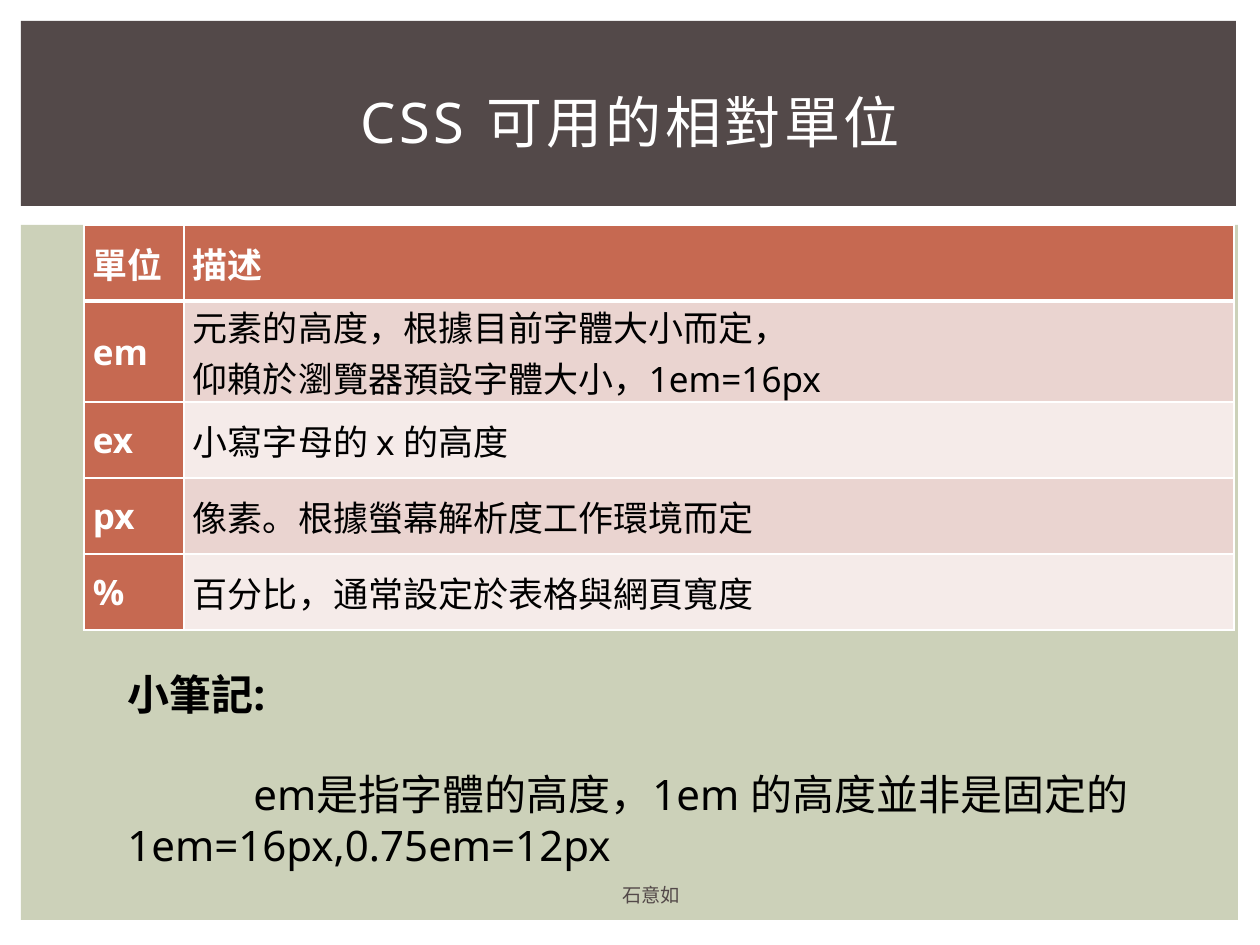
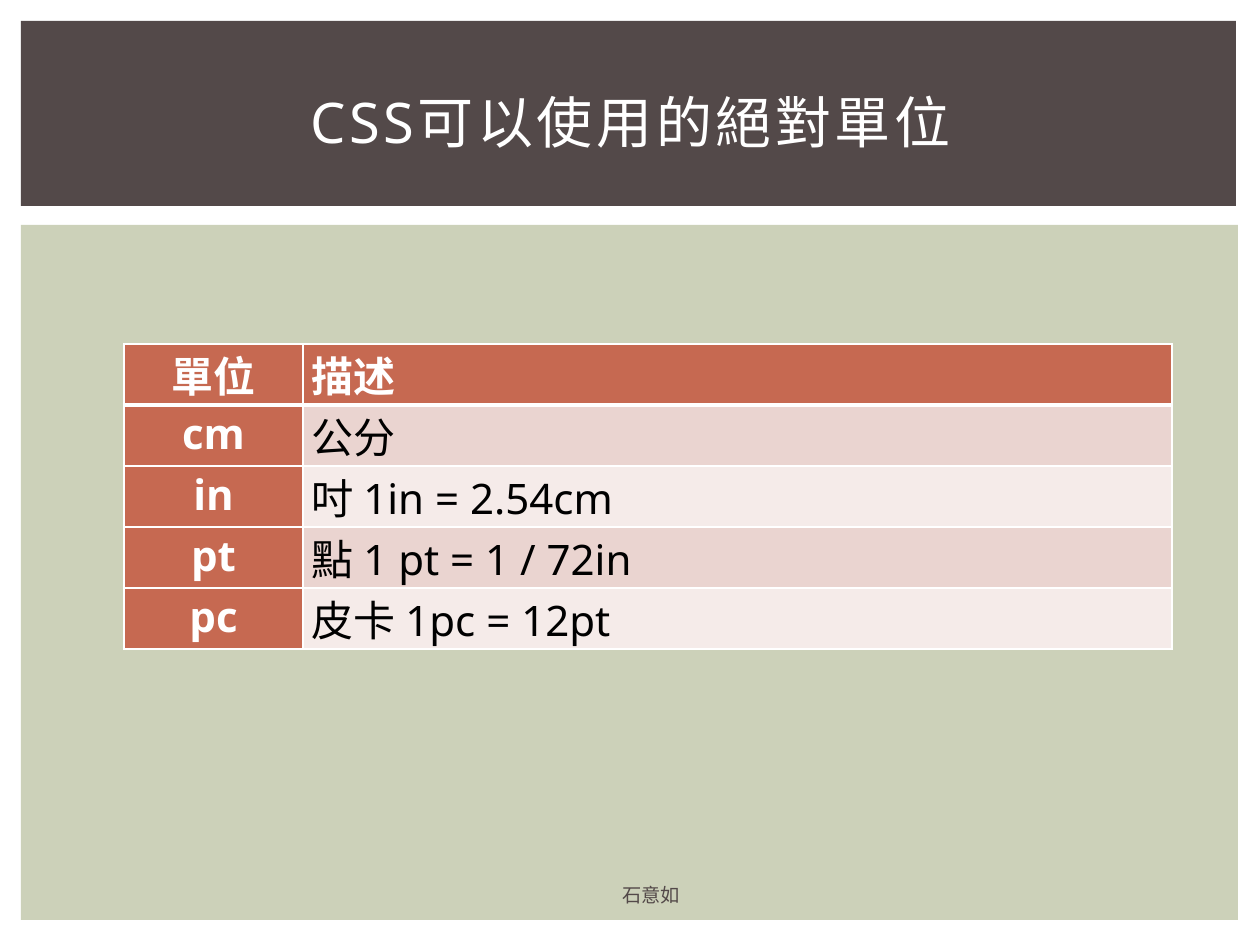
from lxml import etree
from pptx import Presentation
from pptx import util as u
from pptx.dml.color import RGBColor
from pptx.enum import shapes, text
from pptx.oxml.ns import qn

PX = 914400 / 126
FONT = "Noto Sans"
WHITE, BLACK = "FFFFFF", "000000"
BAND, BACKDROP, ACCENT = "534949", "CCD1B9", "C66951"
STRIPES = ["EAD4D0", "F5EBE9"]
LEFT, CENTER = text.PP_ALIGN.LEFT, text.PP_ALIGN.CENTER
TOP, MIDDLE = text.MSO_ANCHOR.TOP, text.MSO_ANCHOR.MIDDLE


def px(length):
    return u.Emu(round(length * PX))


def color(value):
    return RGBColor.from_string(value)


def add_run(paragraph, words, size, ink, bold=False, tracking=0):
    run = paragraph.add_run()
    run.text = words
    run.font.name = FONT
    run.font.size = u.Pt(size)
    run.font.bold = bold
    run.font.color.rgb = color(ink)
    if tracking:
        run.font._element.set("spc", str(tracking * 100))


def add_panel(slide, left, top, width, height, fill):
    panel = slide.shapes.add_shape(
        shapes.MSO_SHAPE.RECTANGLE, px(left), px(top), px(width), px(height))
    panel.shadow.inherit = False
    panel.fill.solid()
    panel.fill.fore_color.rgb = color(fill)
    panel.line.fill.background()


def add_frame(slide, left, top, width, height, anchor):
    frame = slide.shapes.add_textbox(px(left), px(top), px(width), px(height)).text_frame
    frame.word_wrap = True
    frame.vertical_anchor = anchor
    return frame


def add_label(slide, box, words, size, ink, tracking=0):
    line = add_frame(slide, *box, MIDDLE).paragraphs[0]
    line.alignment = CENTER
    add_run(line, words, size, ink, tracking=tracking)


def set_borders(cell, bottom):
    properties = cell._tc.get_or_add_tcPr()
    for position, (side, width) in enumerate(
            [("lnL", 1), ("lnR", 1), ("lnT", 1), ("lnB", bottom)]):
        border = etree.Element(qn(f"a:{side}"), w=str(u.Pt(width)))
        fill = etree.SubElement(border, qn("a:solidFill"))
        etree.SubElement(fill, qn("a:srgbClr"), val=WHITE)
        properties.insert(position, border)


def fill_cell(cell, words, size, row, column, unit_align, anchor):
    strong = row == 0 or column == 0
    cell.margin_left = cell.margin_right = px(9)
    cell.margin_top = cell.margin_bottom = 0
    cell.vertical_anchor = anchor
    cell.fill.solid()
    cell.fill.fore_color.rgb = color(ACCENT if strong else STRIPES[(row - 1) % 2])
    for number, line in enumerate(words.split("\n")):
        paragraph = cell.text_frame.add_paragraph() if number else cell.text_frame.paragraphs[0]
        paragraph.alignment = LEFT if column else unit_align
        add_run(paragraph, line, size, WHITE if strong else BLACK, strong)
    set_borders(cell, 1 if row else 3)


def add_unit_table(slide, left, top, widths, heights, units, size, unit_align, anchor):
    rows = [("單位", "描述")] + units
    table = slide.shapes.add_table(
        len(rows), len(widths), px(left), px(top), px(sum(widths)), px(sum(heights))).table
    table.horz_banding = False
    for column, width in zip(table.columns, widths):
        column.width = px(width)
    for r, (words, height) in enumerate(zip(rows, heights)):
        table.rows[r].height = px(height)
        for c, entry in enumerate(words):
            fill_cell(table.cell(r, c), entry, size, r, c, unit_align, anchor)


def add_note(slide, box, heading, lines):
    frame = add_frame(slide, *box, TOP)
    pitch = u.Pt(28.8)
    title = frame.paragraphs[0]
    title.line_spacing = title.space_after = pitch
    add_run(title, heading, 24, BLACK, True)
    for words, indent in lines:
        paragraph = frame.add_paragraph()
        paragraph.line_spacing = pitch
        paragraph._p.get_or_add_pPr().set("indent", str(px(indent)))
        add_run(paragraph, words, 24, BLACK)


def add_base(deck, title):
    slide = deck.slides.add_slide(deck.slide_layouts[6])
    add_panel(slide, 21, 225, 1217, 695, BACKDROP)
    add_panel(slide, 21, 21, 1215, 185, BAND)
    add_label(slide, (53, 49, 1155, 145), title, 32, WHITE, tracking=2)
    add_label(slide, (420, 876, 462, 38), "石意如", 11, BAND)
    return slide


def main():
    deck = Presentation()
    deck.slide_width, deck.slide_height = px(1260), px(945)

    relative = add_base(deck, "CSS 可用的相對單位")
    relative_units = [
        ("em", "元素的高度，根據目前字體大小而定，\n仰賴於瀏覽器預設字體大小，1em=16px"),
        ("ex", "小寫字母的 x 的高度"),
        ("px", "像素。根據螢幕解析度工作環境而定"),
        ("%", "百分比，通常設定於表格與網頁寬度"),
    ]
    add_unit_table(relative, 84, 225, [100, 1050], [76, 101, 76, 76, 76],
                   relative_units, 20, LEFT, MIDDLE)
    add_note(relative, (115, 662, 1042, 217), "小筆記:", [
        ("em是指字體的高度，1em 的高度並非是固定的", 126),
        ("1em=16px,0.75em=12px", 0),
    ])

    absolute = add_base(deck, "CSS可以使用的絕對單位")
    absolute_units = [
        ("cm", "公分"),
        ("in", "吋 1in = 2.54cm"),
        ("pt", "點 1 pt = 1 / 72in"),
        ("pc", "皮卡 1pc = 12pt"),
    ]
    add_unit_table(absolute, 124, 344, [179, 869], [61] * 5,
                   absolute_units, 24, CENTER, TOP)

    deck.save("out.pptx")


main()
